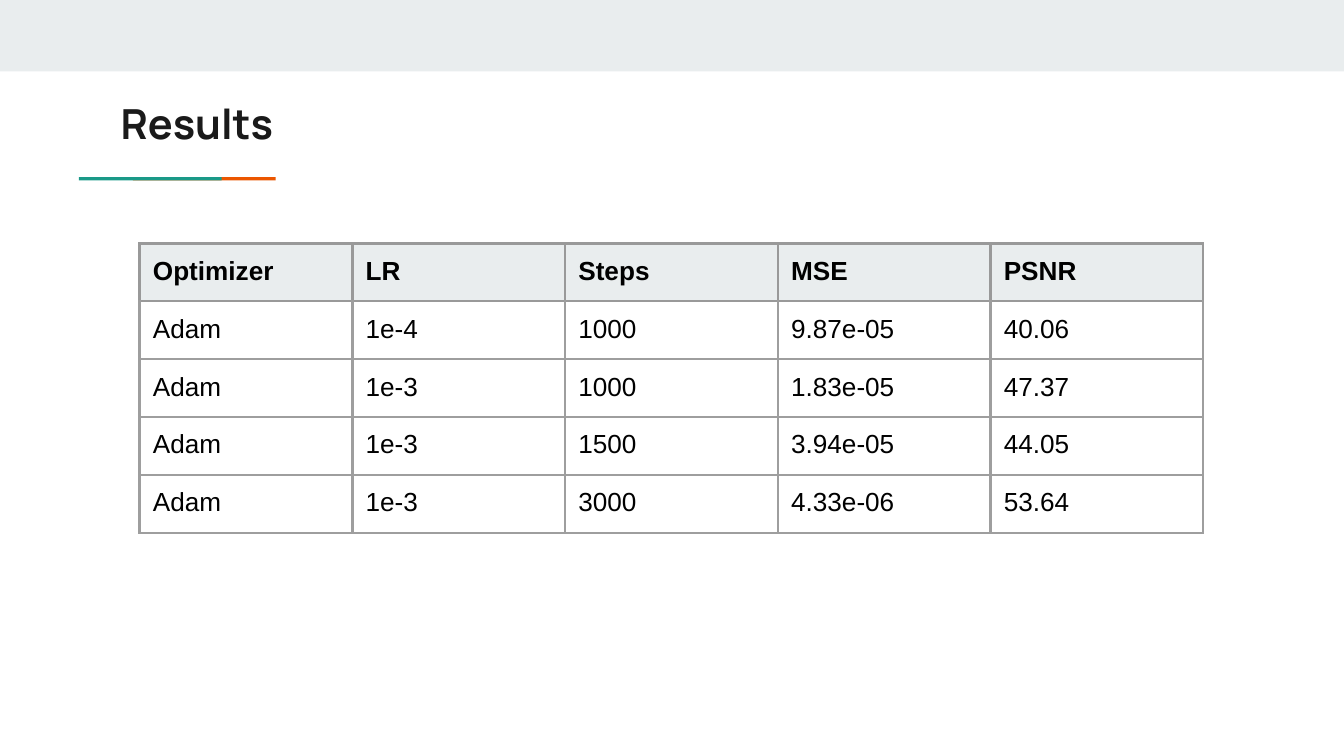
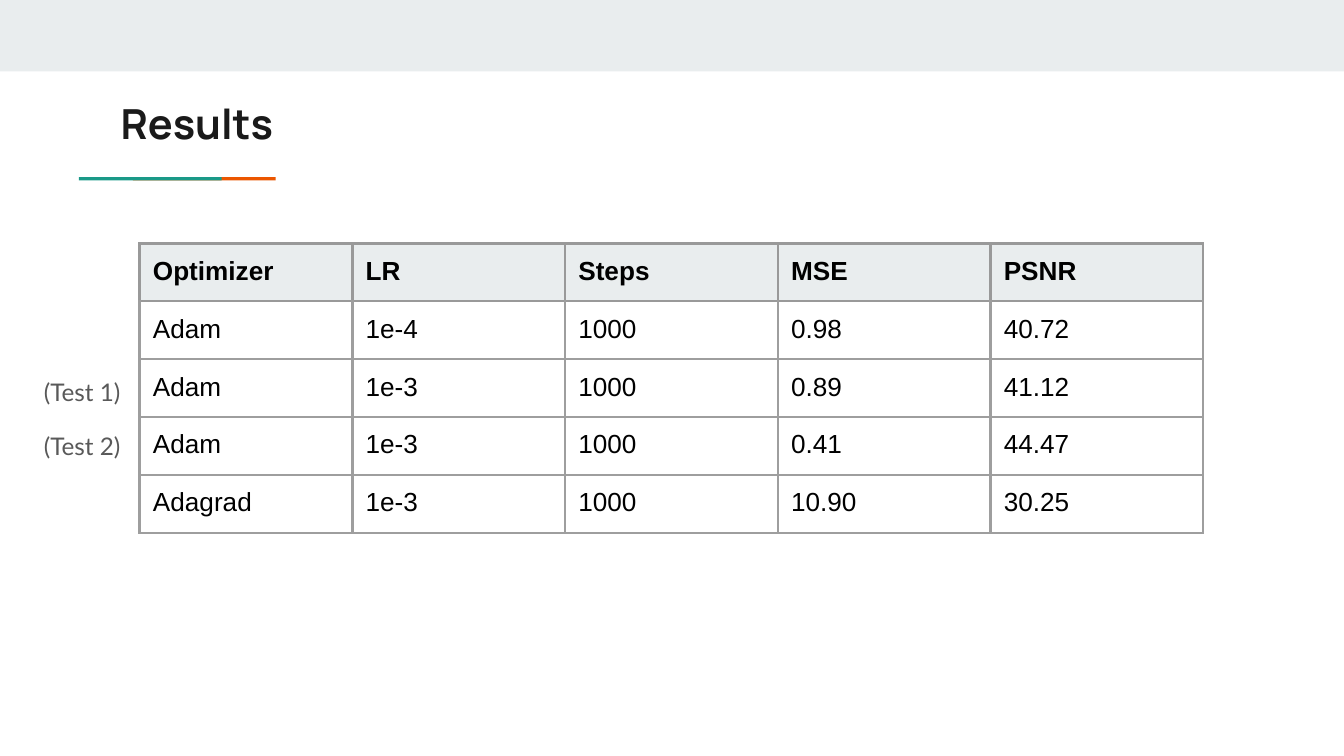
from dataclasses import dataclass

from lxml.etree import SubElement
from pptx import Presentation
from pptx.dml.color import RGBColor
from pptx.enum.shapes import MSO_SHAPE
from pptx.enum.text import MSO_ANCHOR
from pptx.oxml.ns import qn
from pptx.util import Cm, Pt


@dataclass(frozen=True)
class Theme:
    band: str = "E9EDEE"
    teal: str = "1A9988"
    orange: str = "EB5600"
    header_border: str = "999999"
    body_border: str = "9E9E9E"
    title: tuple = ("Manrope", 22.2, "1A1A1A", True)
    header: tuple = ("Arial", 14, "000000", True)
    body: tuple = ("Arial", 14, "000000", False)
    label: tuple = ("Lato", 13, "595959", False)
    border_width: float = 1.5
    inset: float = 0.25


@dataclass(frozen=True)
class Box:
    """An area in centimetres."""
    x: float
    y: float
    w: float
    h: float

    def inner(self, dx, dy, w, h):
        return Box(self.x + dx, self.y + dy, w, h)

    def emu(self):
        return Cm(self.x), Cm(self.y), Cm(self.w), Cm(self.h)


THEME = Theme()
PAGE = Box(0, 0, 25.4, 14.29)
HEADING = Box(1.49, 1.6, 21.9, 1.8)
TABLE = Box(2.64, 4.6, 20.1, 5.3)

COLUMNS = ("Optimizer", "LR", "Steps", "MSE", "PSNR")
FIRST_RESULTS = (
    ("Adam", "1e-4", "1000", "9.87e-05", "40.06"),
    ("Adam", "1e-3", "1000", "1.83e-05", "47.37"),
    ("Adam", "1e-3", "1500", "3.94e-05", "44.05"),
    ("Adam", "1e-3", "3000", "4.33e-06", "53.64"),
)
SECOND_RESULTS = (
    ("Adam", "1e-4", "1000", "0.98", "40.72"),
    ("Adam", "1e-3", "1000", "0.89", "41.12"),
    ("Adam", "1e-3", "1000", "0.41", "44.47"),
    ("Adagrad", "1e-3", "1000", "10.90", "30.25"),
)


def add_run(p, text, style):
    name, size, color, bold = style
    r = p.add_run()
    r.text = text
    r.font.name, r.font.size, r.font.bold = name, Pt(size), bold
    r.font.color.rgb = RGBColor.from_string(color)


def set_insets(target):
    target.margin_left = target.margin_right = Cm(THEME.inset)
    target.margin_top = target.margin_bottom = Cm(THEME.inset)


def add_text(s, box, text, style):
    tf = s.shapes.add_textbox(*box.emu()).text_frame
    tf.word_wrap = True
    tf.vertical_anchor = MSO_ANCHOR.TOP
    set_insets(tf)
    add_run(tf.paragraphs[0], text, style)


def add_bar(s, box, color):
    sp = s.shapes.add_shape(MSO_SHAPE.RECTANGLE, *box.emu())
    sp.shadow.inherit = False
    sp.fill.solid()
    sp.fill.fore_color.rgb = RGBColor.from_string(color)
    sp.line.fill.background()


def set_border(cell, side, color):
    ln = SubElement(cell._tc.get_or_add_tcPr(), qn(f"a:ln{side}"),
                    w=str(Pt(THEME.border_width)))
    fill = SubElement(ln, qn("a:solidFill"))
    SubElement(fill, qn("a:srgbClr"), val=color)


def add_heading(s, box, title):
    # Two overlapping bars, teal in front
    for dx, color in ((1.02, THEME.orange), (0, THEME.teal)):
        add_bar(s, box.inner(dx, 1.75, 2.7, 0.06), color)
    add_text(s, box.inner(0.54, 0, box.w - 0.54, 1.68), title, THEME.title)


def add_results_table(s, box, rows):
    grid = (COLUMNS, *rows)
    table = s.shapes.add_table(len(grid), len(COLUMNS), *box.emu()).table
    table.first_row = table.horz_banding = False
    for col in table.columns:
        col.width = Cm(box.w / len(COLUMNS))
    for i, values in enumerate(grid):
        table.rows[i].height = Cm(box.h / len(grid))
        for j, value in enumerate(values):
            cell = table.cell(i, j)
            set_insets(cell)
            # The header shares its lower border with the first body row
            for side in "LRTB":
                from_header = i == 0 or (i == 1 and side == "T")
                set_border(cell, side, THEME.header_border if from_header
                           else THEME.body_border)
            if i == 0:
                cell.fill.solid()
                cell.fill.fore_color.rgb = RGBColor.from_string(THEME.band)
            else:
                cell.fill.background()
            add_run(cell.text_frame.paragraphs[0], value,
                    THEME.header if i == 0 else THEME.body)


def add_row_labels(s, box, labels):
    # Labels to the left of the table, starting at the second body row
    for i, label in enumerate(labels):
        add_text(s, box.inner(-2.06, 2.28 + 1.02 * i, 2.3, 0.94),
                 label, THEME.label)


def add_results_slide(prs, rows, labels=()):
    s = prs.slides.add_slide(prs.slide_layouts[6])
    add_bar(s, PAGE.inner(0, 0, PAGE.w, 1.35), THEME.band)
    add_heading(s, HEADING, "Results")
    add_results_table(s, TABLE, rows)
    add_row_labels(s, TABLE, labels)


def main():
    prs = Presentation()
    prs.slide_width, prs.slide_height = Cm(PAGE.w), Cm(PAGE.h)
    add_results_slide(prs, FIRST_RESULTS)
    add_results_slide(prs, SECOND_RESULTS, ("(Test 1)", "(Test 2)"))
    prs.save("out.pptx")


if __name__ == "__main__":
    main()
